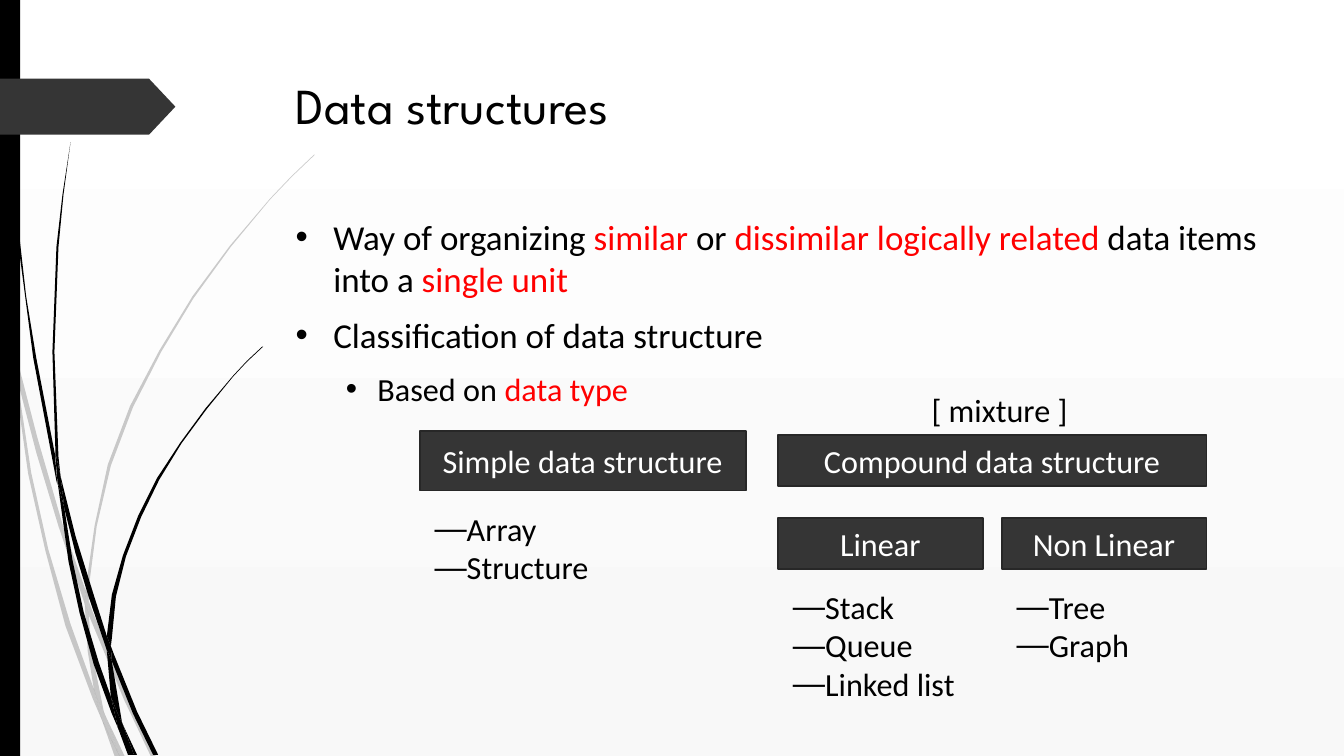
import pptx
import pptx.util
import pptx.dml.color
import pptx.enum.shapes
import pptx.enum.text
import pptx.oxml.ns
import lxml.etree

Pt = pptx.util.Pt
SHAPE = pptx.enum.shapes.MSO_SHAPE
ALIGN = pptx.enum.text.PP_ALIGN
ANCHOR = pptx.enum.text.MSO_ANCHOR
BLACK, DARK, EDGE, RED, WHITE = "000000", "353535", "272727", "FF0000", "FFFFFF"
GRID = 0.72

PALE = [
    "11,350 9,322 0,282 0,299 10,344",
    "58,522 84,599 85,586 62,520 37,434 14,345 17,376 36,449",
    "92,607 88,596 88,610 123,694 150,751 155,751 127,692",
    "119,751 124,751 105,711",
    "93,683 70,619 48,545 31,469 17,376 11,350 28,470 45,546 65,621 92,693 101,714 99,707",
    "84,599 87,646 93,683 96,692 105,711 103,706 91,646 88,610 88,608",
    "88,584 96,522 110,462 132,404 160,349 192,296 229,245 268,198 290,175 312,154 312,153"
    " 289,175 268,197 228,244 191,294 158,348 129,403 107,461 94,521 85,584 85,586 88,596",
    "101,714 114,751 119,751",
    "88,608 88,610 88,596 85,586 84,599",
    "96,692 93,683 99,707 101,714 119,751 105,711",
]
DEEP = [
    "7,110 17,233 33,355 56,477 57,481 55,457 55,453 36,355 26,294 19,232 8,109 5,48 4,0 3,0 4,48",
    "88,592 106,645 106,633 106,631 93,590 75,532 60,472 64,505 75,549",
    "113,649 110,641 111,656 132,708 152,749 157,749 136,706",
    "110,691 98,657 83,607 72,556 64,505 57,477 68,557 79,608 93,659 111,708 117,722 116,717",
    "60,472 58,453 54,349 58,245 63,193 70,141 62,193 56,245 52,349 55,449",
    "133,749 136,749 122,719",
    "57,477 64,505 60,472 55,449 55,453",
    "111,633 115,592 125,552 140,513 158,476 180,440 205,406 231,374 245,359 261,344 260,344"
    " 245,358 231,373 204,405 179,439 156,474 137,512 122,551 111,590 106,631 110,641",
    "117,722 127,749 131,749",
    "106,645 110,691 116,706 122,719 121,716 111,656 109,651",
    "106,645 109,651 111,656 110,641 106,631 106,633",
    "116,706 110,691 116,717 117,722 130,749 133,749 122,719",
]


def tint(color, code):
    """Set a colour from a hex string."""
    color.rgb = pptx.dml.color.RGBColor.from_string(code)


def paint(shape, code, edge=None):
    """Give a shape a flat fill and an optional edge."""
    shape.shadow.inherit = False
    shape.fill.solid()
    tint(shape.fill.fore_color, code)
    if edge:
        tint(shape.line.color, edge)
        shape.line.width = Pt(1.25)
    else:
        shape.line.fill.background()


def style(run, size, code, font="Calibri"):
    """Format one run."""
    run.font.size = Pt(size)
    run.font.name = font
    tint(run.font.color, code)


def blade(slide, left, top, rim, alpha):
    """Draw one piece of grass from its rim on the grid."""
    dots = [tuple(map(int, dot.split(","))) for dot in rim.split()]
    pen = slide.shapes.build_freeform(*dots[0], scale=Pt(GRID))
    pen.add_line_segments(dots[1:], close=True)
    shape = pen.convert_to_shape(Pt(left), Pt(top))
    paint(shape, BLACK)
    if alpha < 100:
        tag = pptx.oxml.ns.qn
        color = shape.fill._xPr.find(".//" + tag("a:srgbClr"))
        lxml.etree.SubElement(color, tag("a:alpha")).set("val", str(alpha * 1000))


def side(slide, left, top, high):
    """Draw the grass, the edge bar and the arrow tab."""
    for group, alpha in ((PALE, 20), (DEEP, 100)):
        for rim in group:
            blade(slide, left, top, rim, alpha)
    bar = slide.shapes.add_shape(SHAPE.RECTANGLE, Pt(left), Pt(top), Pt(14.4), Pt(high))
    paint(bar, BLACK)
    tab = slide.shapes.add_shape(
        SHAPE.PENTAGON, Pt(left), Pt(top + 56.2), Pt(125.3), Pt(40))
    tab.adjustments[0] = 0.47
    paint(tab, DARK)


def head(slide, left, top, wide, high, text):
    """Place the slide title."""
    title = slide.shapes.title
    title.left, title.top, title.width, title.height = map(Pt, (left, top, wide, high))
    frame = title.text_frame
    frame.text = text
    frame.vertical_anchor = ANCHOR.TOP
    frame.paragraphs[0].alignment = ALIGN.LEFT
    style(frame.paragraphs[0].runs[0], 36, BLACK, "League Spartan")


def bullet(para, mark, font, left, hang):
    """Give a paragraph a hanging bullet."""
    props = para._p.get_or_add_pPr()
    props.set("marL", str(Pt(left)))
    props.set("indent", str(-Pt(hang)))
    for name, key, value in (("a:buFont", "typeface", font), ("a:buChar", "char", mark)):
        lxml.etree.SubElement(props, pptx.oxml.ns.qn(name)).set(key, value)


def words(slide, left, top, wide, high, lines):
    """Add a wrapped text box and return its paragraphs; text between stars is red."""
    frame = slide.shapes.add_textbox(Pt(left), Pt(top), Pt(wide), Pt(high)).text_frame
    frame.word_wrap = True
    for i, (line, size) in enumerate(lines):
        para = frame.add_paragraph() if i else frame.paragraphs[0]
        for j, part in enumerate(line.split("*")):
            if part:
                run = para.add_run()
                run.text = part
                style(run, size, RED if j % 2 else BLACK)
    return frame.paragraphs


def body(slide, left, top, wide, high):
    """Write the main points."""
    lines = [
        ("Way of organizing *similar* or *dissimilar logically related*"
         " data items into a *single unit*", 25),
        ("Classification of data structure", 25),
        ("Based on *data type*", 23)]
    paras = words(slide, left, top, wide, high, lines)
    for para, (inset, hang) in zip(paras, ((27, 27), (27, 27), (58.5, 22.5))):
        para.space_before = Pt(10)
        bullet(para, "•", "Arial", inset, hang)


def label(slide, left, top, wide, high, text):
    """Draw a dark box with a centred label."""
    box = slide.shapes.add_shape(SHAPE.RECTANGLE, Pt(left), Pt(top), Pt(wide), Pt(high))
    paint(box, DARK, EDGE)
    frame = box.text_frame
    frame.text = text
    frame.vertical_anchor = ANCHOR.MIDDLE
    frame.paragraphs[0].alignment = ALIGN.CENTER
    style(frame.paragraphs[0].runs[0], 23, WHITE)


def items(slide, left, top, wide, names):
    """Write a dashed list."""
    high = 7.2 + 28 * len(names)
    for para in words(slide, left, top, wide, high, [(name, 23) for name in names]):
        bullet(para, "―", "Arial", 22.5, 22.5)


def simple(slide, left, top, wide):
    """Draw the simple structures."""
    label(slide, left, top, wide, 42.4, "Simple data structure")
    items(slide, left + 3.5, top + 52.2, 207.5, ["Array", "Structure"])


def compound(slide, left, top, wide):
    """Draw the compound structures and their two kinds."""
    high, gap = 36.7, 13.6
    half = (wide - gap) / 2
    label(slide, left, top, wide, high, "Compound data structure")
    kinds = [("Linear", ["Stack", "Queue", "Linked list"]), ("Non Linear", ["Tree", "Graph"])]
    for i, (kind, names) in enumerate(kinds):
        x = left + i * (half + gap)
        label(slide, x, top + 59.3, half, high, kind)
        items(slide, x + 3.5, top + 105.2, 150.5, names)
    words(slide, left + 102.5, top - 35.3, 150.5, 35.3, [("[ mixture ]", 23)])


def main():
    """Build and save the slide."""
    deck = pptx.Presentation()
    deck.slide_width, deck.slide_height = Pt(960), Pt(540)
    slide = deck.slides.add_slide(deck.slide_layouts[5])
    fill = slide.background.fill
    fill.gradient()
    fill.gradient_angle = 270
    for stop, code, place in zip(fill.gradient_stops, (WHITE, "F8F8F8"), (0, 1)):
        tint(stop.color, code)
        stop.position = place
    side(slide, 0, 0, 540)
    head(slide, 204.1, 49, 702, 101, "Data structures")
    body(slide, 204, 150.4, 702, 315)
    simple(slide, 299.8, 308, 233)
    compound(slide, 555.8, 310.5, 306)
    deck.save("out.pptx")


main()
